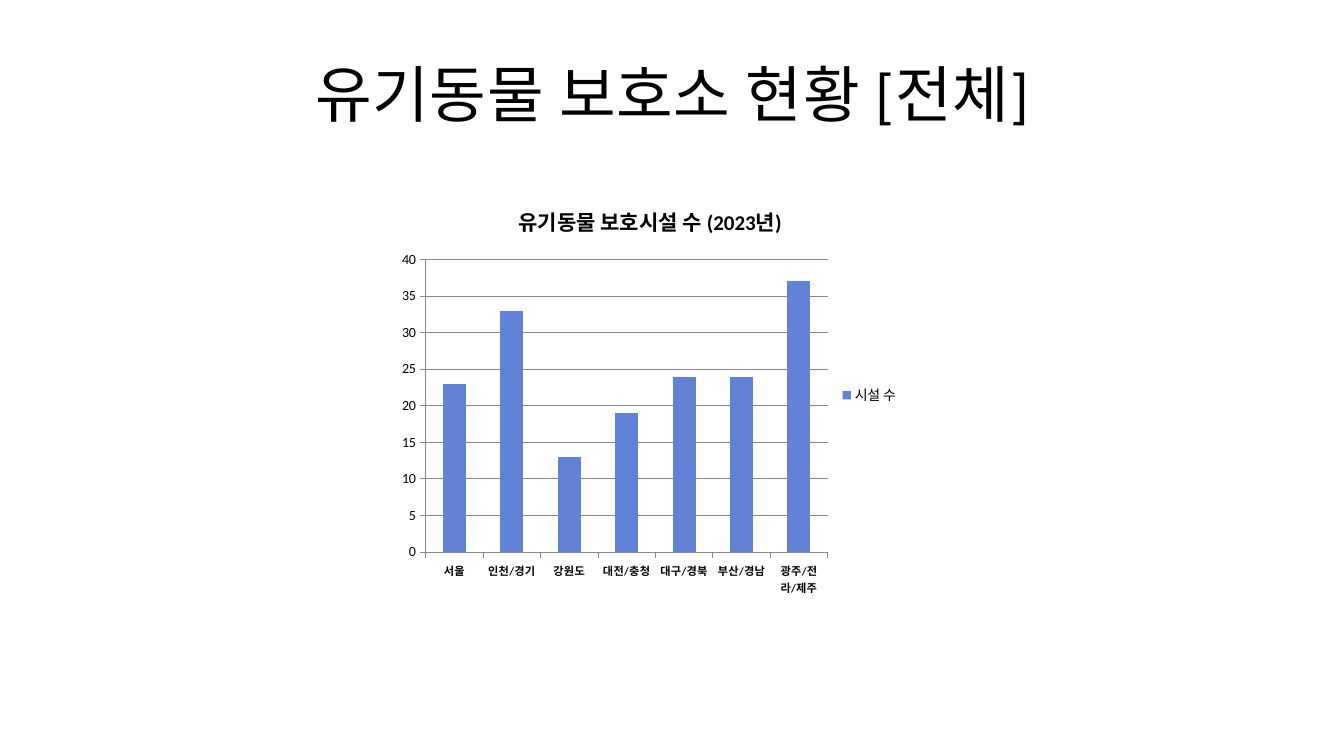
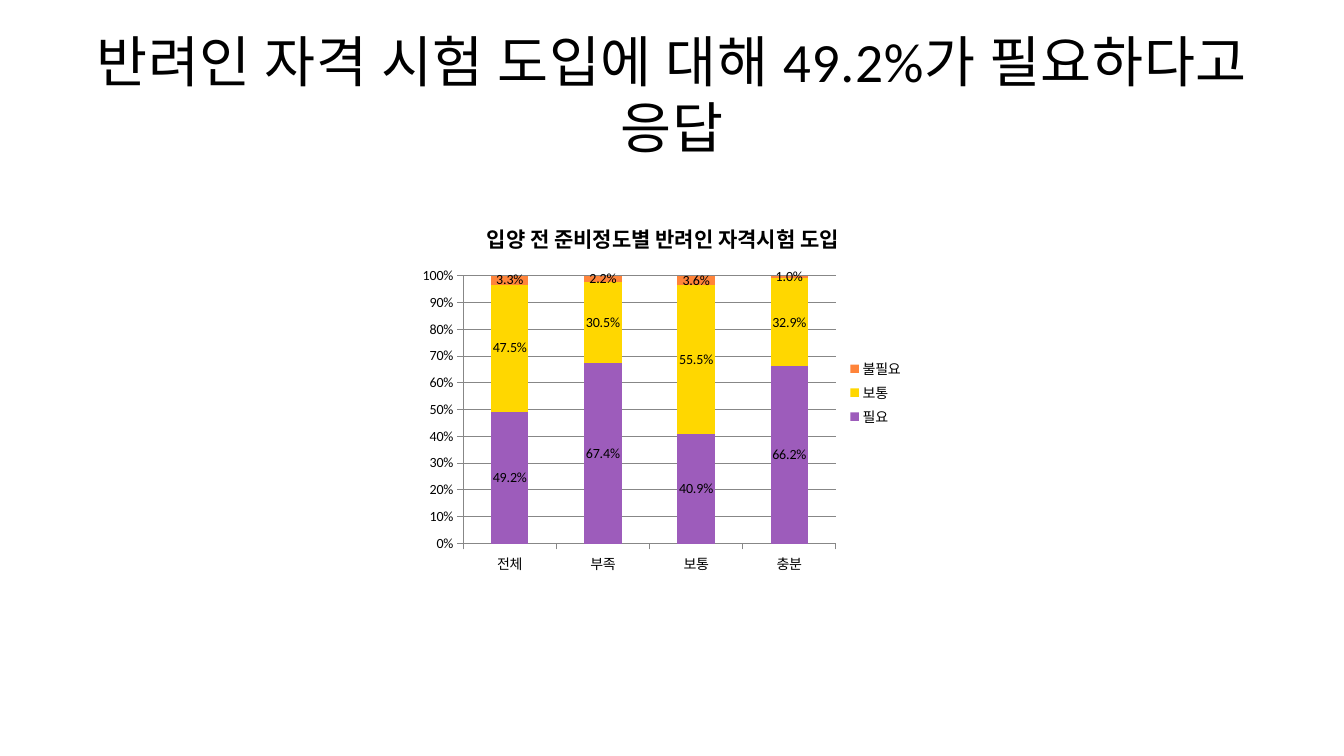
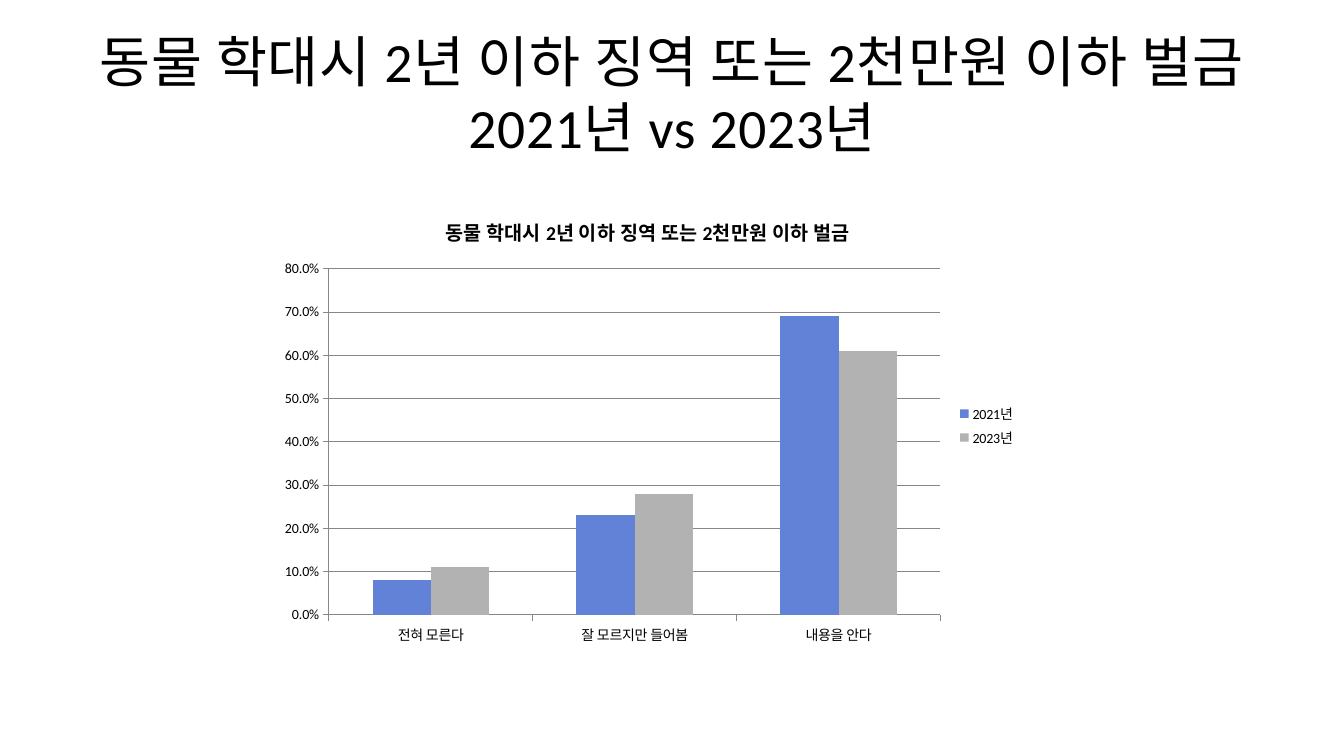
from dataclasses import dataclass

from pptx import Presentation
from pptx.chart.data import CategoryChartData
from pptx.dml.color import RGBColor
from pptx.enum.chart import XL_CHART_TYPE as ChartType
from pptx.enum.chart import XL_LABEL_POSITION as LabelPosition
from pptx.enum.chart import XL_LEGEND_POSITION as LegendPosition
from pptx.enum.chart import XL_TICK_MARK as TickMark
from pptx.enum.text import MSO_ANCHOR, MSO_AUTO_SIZE, PP_ALIGN
from pptx.oxml.ns import qn
from pptx.util import Cm, Pt


@dataclass(frozen=True)
class Theme:
    font: str = "Calibri"
    ink: str = "000000"
    rule: str = "878787"
    blue: str = "6182D6"
    gray: str = "B2B2B2"
    purple: str = "9D5CBB"
    gold: str = "FFD700"
    orange: str = "FF843A"
    title: float = 44
    long_title: float = 39.6
    title_spacing: float = 0.5
    chart_title: float = 15
    long_chart_title: float = 14
    chart_text: float = 10
    small: float = 8


THEME = Theme()
TITLE_AREA = (1.7, 0.76, 30.48, 3.18)


@dataclass(frozen=True)
class Series:
    name: str
    values: tuple[float, ...]
    color: str


@dataclass(frozen=True)
class ChartPage:
    title: str
    chart_title: str
    area: tuple[float, float, float, float]
    categories: tuple[str, ...]
    series: tuple[Series, ...]
    title_size: float = THEME.long_title
    chart_title_size: float = THEME.chart_title
    kind: ChartType = ChartType.COLUMN_CLUSTERED
    overlap: int = 0
    axis_format: str = "General"
    label_format: str = ""
    bold_categories: bool = False


PAGES = (
    ChartPage(
        title="유기동물 보호소 현황 [전체]",
        title_size=THEME.title,
        chart_title="유기동물 보호시설 수 (2023년)",
        area=(9.87, 4.7, 13.03, 10.52),
        categories=("서울", "인천/경기", "강원도", "대전/충청",
                    "대구/경북", "부산/경남", "광주/전라/제주"),
        series=(Series("시설 수", (23, 33, 13, 19, 24, 24, 37), THEME.blue),),
        bold_categories=True,
    ),
    ChartPage(
        title="반려인 자격 시험 도입에 대해 49.2%가 필요하다고 응답",
        chart_title="입양 전 준비정도별 반려인 자격시험 도입",
        area=(10.4, 5.15, 12.62, 9.49),
        categories=("전체", "부족", "보통", "충분"),
        series=(
            Series("필요", (0.492, 0.674, 0.409, 0.662), THEME.purple),
            Series("보통", (0.475, 0.305, 0.555, 0.329), THEME.gold),
            Series("불필요", (0.033, 0.022, 0.036, 0.01), THEME.orange),
        ),
        kind=ChartType.COLUMN_STACKED_100,
        overlap=100,
        axis_format="0%",
        label_format="0.0%",
    ),
    ChartPage(
        title="동물 학대시 2년 이하 징역 또는 2천만원 이하 벌금 2021년 vs 2023년",
        chart_title="동물 학대시 2년 이하 징역 또는 2천만원 이하 벌금",
        chart_title_size=THEME.long_chart_title,
        area=(6.8, 4.97, 19.05, 11.51),
        categories=("전혀 모른다", "잘 모르지만 들어봄", "내용을 안다"),
        series=(
            Series("2021년", (0.08, 0.23, 0.69), THEME.blue),
            Series("2023년", (0.11, 0.28, 0.61), THEME.gray),
        ),
        axis_format="0.0%",
    ),
)


def apply(target, **values) -> None:
    for name, value in values.items():
        setattr(target, name, value)


def style_font(font, size: float, bold: bool = False) -> None:
    apply(font, name=THEME.font, size=Pt(size), bold=bold)
    font.color.rgb = RGBColor.from_string(THEME.ink)


def style_line(line) -> None:
    line.color.rgb = RGBColor.from_string(THEME.rule)
    line.width = Pt(0.75)


def add_title(slide, page: ChartPage) -> None:
    box = slide.shapes.title
    left, top, width, height = map(Cm, TITLE_AREA)
    apply(box, left=left, top=top, width=width, height=height)
    frame = box.text_frame
    apply(frame, text=page.title, word_wrap=True,
          auto_size=MSO_AUTO_SIZE.NONE, vertical_anchor=MSO_ANCHOR.MIDDLE)
    para = frame.paragraphs[0]
    para.alignment = PP_ALIGN.CENTER
    span = para.runs[0]
    style_font(span.font, page.title_size)
    span._r.get_or_add_rPr().set("spc", str(round(THEME.title_spacing * 100)))


def style_axes(chart, page: ChartPage) -> None:
    for axis in (chart.category_axis, chart.value_axis):
        apply(axis, major_tick_mark=TickMark.OUTSIDE, minor_tick_mark=TickMark.NONE)
        style_line(axis.format.line)
    if page.bold_categories:
        category_axis = chart.category_axis
        style_font(category_axis.tick_labels.font, THEME.small, bold=True)
        label_body = category_axis._element.find(f"{qn('c:txPr')}/{qn('a:bodyPr')}")
        label_body.set("rot", "0")
        label_body.set("vert", "horz")
    chart.value_axis.has_major_gridlines = True
    style_line(chart.value_axis.major_gridlines.format.line)
    apply(chart.value_axis.tick_labels,
          number_format=page.axis_format, number_format_is_linked=False)


def add_column_chart(slide, page: ChartPage) -> None:
    data = CategoryChartData()
    data.categories = page.categories
    for series in page.series:
        data.add_series(series.name, series.values)
    chart = slide.shapes.add_chart(page.kind, *map(Cm, page.area), data).chart
    style_font(chart.font, THEME.chart_text)

    chart.has_title = True
    heading = chart.chart_title
    heading.include_in_layout = False
    heading.text_frame.text = page.chart_title
    span = heading.text_frame.paragraphs[0].runs[0]
    style_font(span.font, page.chart_title_size, bold=True)

    chart.has_legend = True
    apply(chart.legend, position=LegendPosition.RIGHT, include_in_layout=False)
    style_axes(chart, page)

    plot = chart.plots[0]
    apply(plot, gap_width=150, overlap=page.overlap, vary_by_categories=False)
    for series, drawn in zip(page.series, plot.series):
        drawn.format.fill.solid()
        drawn.format.fill.fore_color.rgb = RGBColor.from_string(series.color)
        if page.label_format:
            apply(drawn.data_labels, show_value=True,
                  position=LabelPosition.CENTER,
                  number_format=page.label_format,
                  number_format_is_linked=False)


def main() -> None:
    deck = Presentation()
    apply(deck, slide_width=Cm(33.87), slide_height=Cm(19.05))
    title_only = deck.slide_layouts[5]
    for page in PAGES:
        slide = deck.slides.add_slide(title_only)
        add_title(slide, page)
        add_column_chart(slide, page)
    deck.save("out.pptx")


if __name__ == "__main__":
    main()
